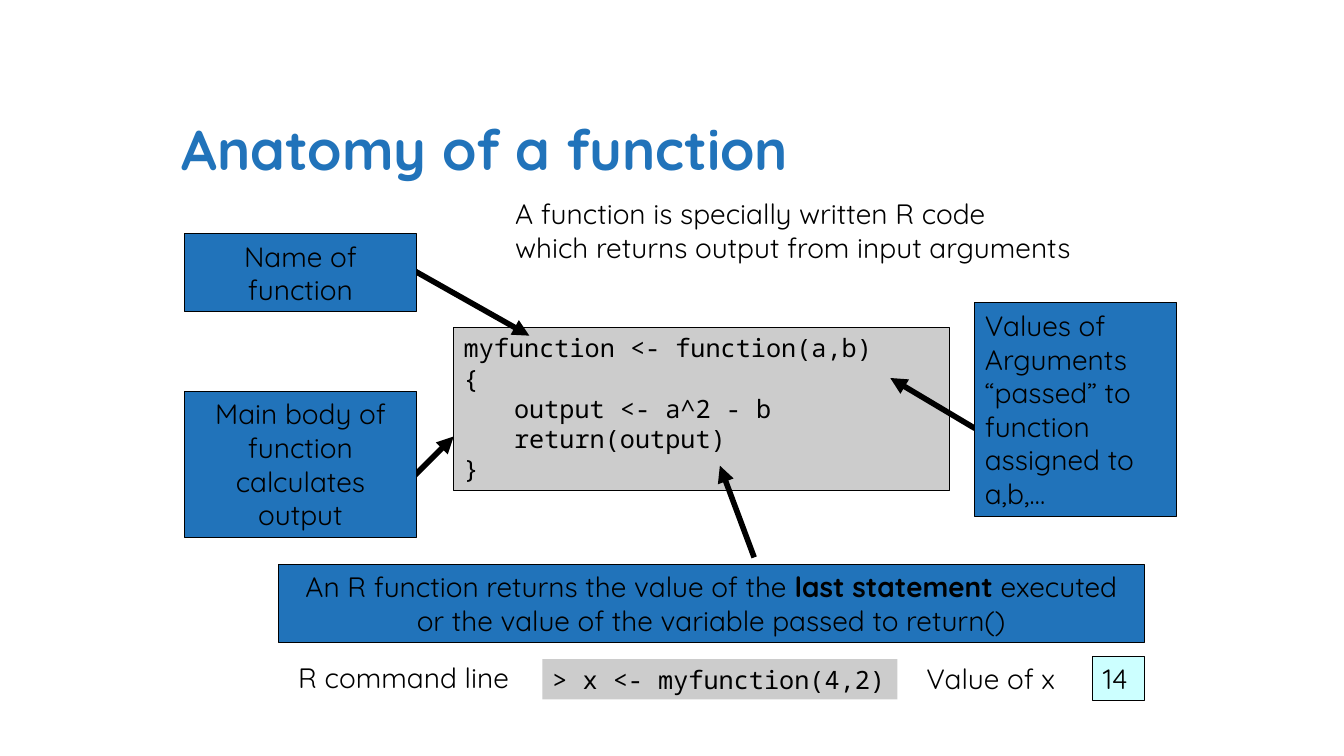
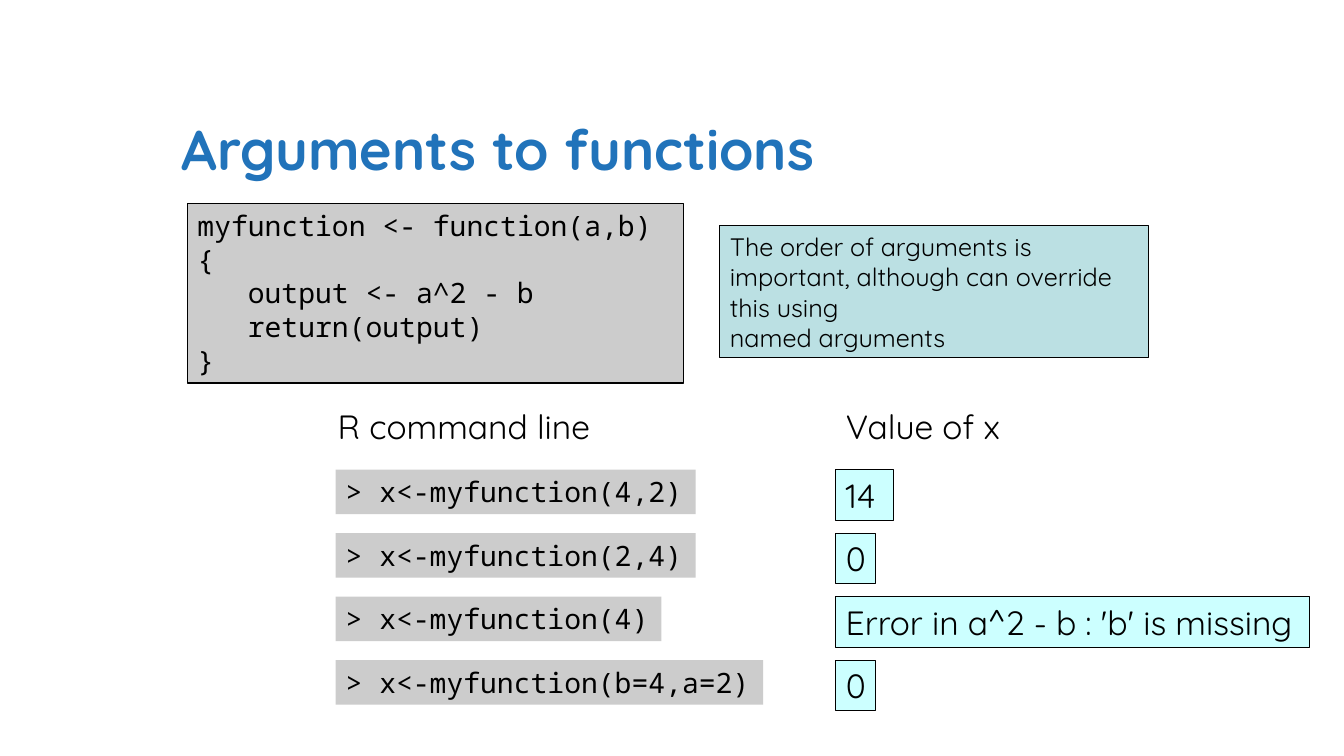
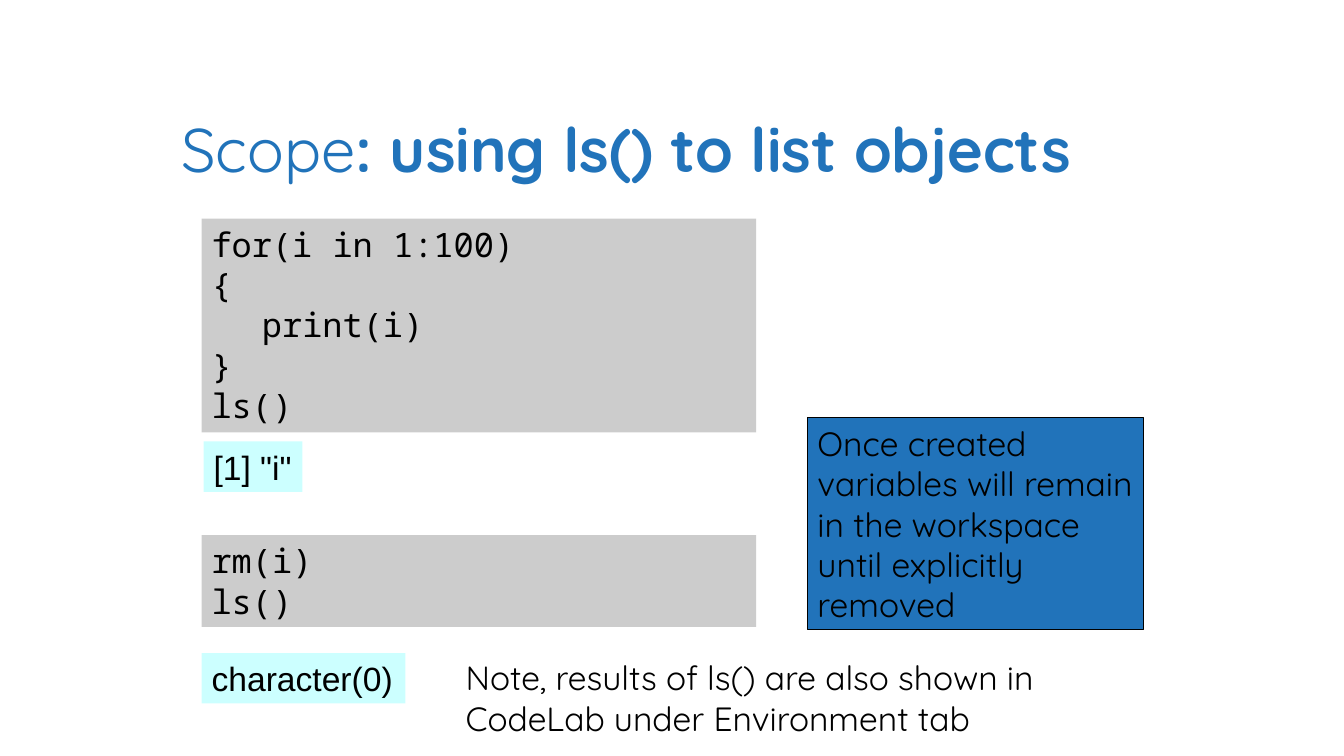
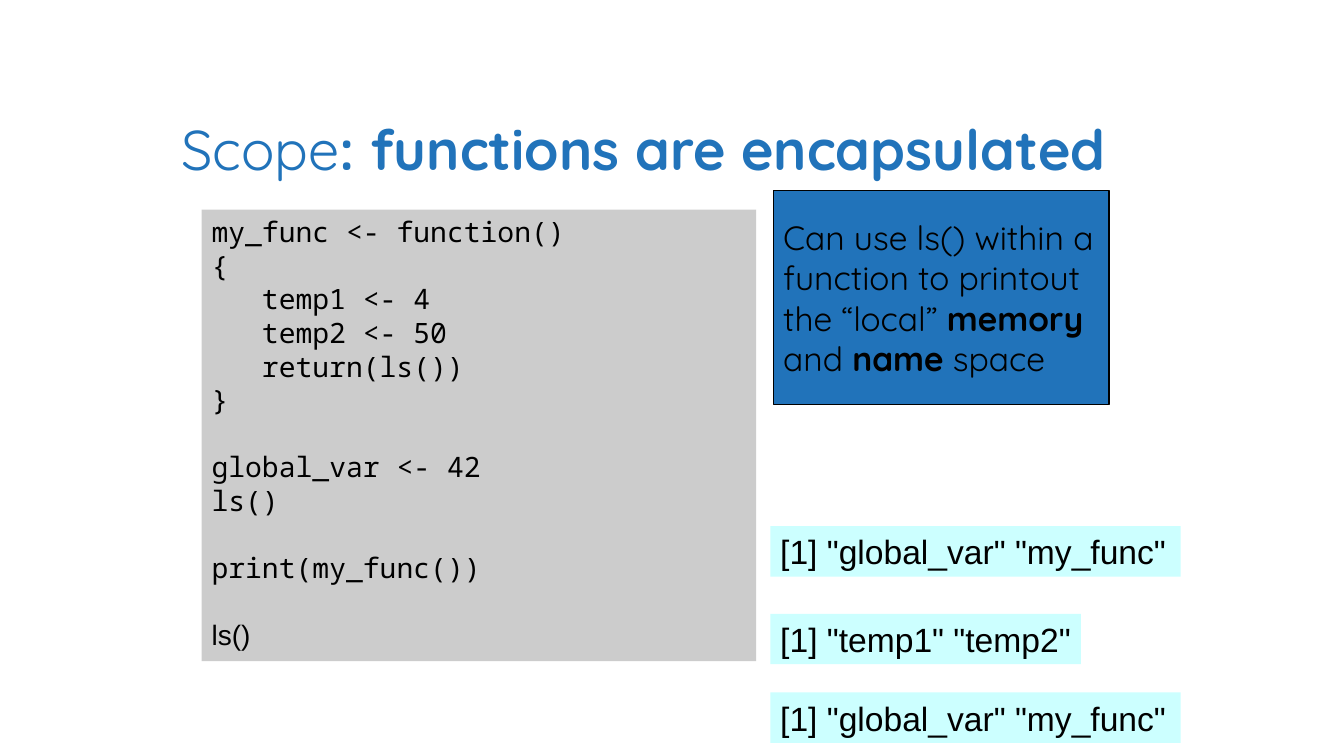
from dataclasses import dataclass

from lxml import etree
from pptx import Presentation
from pptx import util as u
from pptx.dml.color import RGBColor
from pptx.enum import shapes, text
from pptx.oxml import ns


@dataclass(frozen=True)
class Theme:
    # Colours
    blue: str = "2173BA"
    grey: str = "CCCCCC"
    cyan: str = "CCFFFF"
    teal: str = "BBE0E3"
    ink: str = "000000"
    # Fonts
    sans: str = "Quicksand"
    mono: str = "Noto Sans Mono"
    plain: str = "Arial"
    # Type sizes and line widths, in points
    head: int = 40
    big: int = 24
    mid: int = 20
    small: int = 18
    edge: float = 0.75
    arrow: int = 4


T = Theme()
MID = text.MSO_ANCHOR.MIDDLE
MID_ALIGN = text.PP_ALIGN.CENTER

# Kinds of box: fill, outline, font, anchor
CODE = dict(fill=T.grey, face=T.mono)
FRAMED = dict(CODE, edge=True)
NOTE = dict(fill=T.blue, edge=True, anchor=MID)
VALUE = dict(fill=T.cyan, edge=True, wrap=False)
ECHO = dict(fill=T.cyan, face=T.plain, wrap=False)
LABEL = dict(wrap=False)

FUNC = ("myfunction <- function(a,b)", "{", "\toutput <- a^2 - b",
        "\treturn(output)", "}")


def rgb(code):
    return RGBColor.from_string(code)


def put(item, vals):
    """Set every attribute named in vals."""
    for name, val in vals.items():
        setattr(item, name, val)


def write(frame, lines, face, size, color, align):
    """One paragraph a line; ** switches bold, an empty line is a gap."""
    gap, first = 0, True
    for line in lines:
        if not line:
            gap = u.Pt(size * 1.2)
            continue
        para = frame.paragraphs[0] if first else frame.add_paragraph()
        put(para, dict(alignment=align, space_before=gap))
        for i, part in enumerate(line.split("**")):
            if part:
                run = para.add_run()
                run.text = part
                put(run.font, dict(name=face, size=u.Pt(size), bold=i % 2 == 1))
                run.font.color.rgb = rgb(color)
        gap, first = 0, False


def box(slide, at, lines, size=T.mid, fill=None, edge=False, face=T.sans,
        color=T.ink, anchor=text.MSO_ANCHOR.TOP, align=text.PP_ALIGN.LEFT,
        wrap=True, grow=True):
    """Draw a text box, or a rectangle if it has a fill."""
    area = [u.Inches(n) for n in at]
    if fill:
        shape = slide.shapes.add_shape(shapes.MSO_SHAPE.RECTANGLE, *area)
        shape.shadow.inherit = False
        shape.fill.solid()
        shape.fill.fore_color.rgb = rgb(fill)
        if edge:
            shape.line.color.rgb = rgb(T.ink)
            shape.line.width = u.Pt(T.edge)
        else:
            shape.line.fill.background()
    else:
        shape = slide.shapes.add_textbox(*area)
    auto = text.MSO_AUTO_SIZE
    put(shape.text_frame, dict(
        word_wrap=wrap, vertical_anchor=anchor,
        auto_size=auto.SHAPE_TO_FIT_TEXT if grow else auto.NONE))
    write(shape.text_frame, lines, face, size, color, align)
    return shape.text_frame


def arrow(slide, start, end):
    ends = [u.Inches(n) for n in start + end]
    line = slide.shapes.add_connector(shapes.MSO_CONNECTOR.STRAIGHT, *ends)
    line.line.color.rgb = rgb(T.ink)
    line.line.width = u.Pt(T.arrow)
    etree.SubElement(line.line._get_or_add_ln(), ns.qn("a:tailEnd"), type="triangle")
    etree.SubElement(line._element.spPr, ns.qn("a:effectLst"))


def page(deck, title, size=T.head, width=9.75):
    """Add a blank slide with the shared title."""
    slide = deck.slides.add_slide(deck.slide_layouts[6])
    box(slide, (1.7, 0.84, width, 1.25), [title], size,
        color=T.blue, anchor=MID, grow=False)
    return slide


def anatomy(deck):
    s = page(deck, "**Anatomy of a function")
    box(s, (4.5, 3.25, 4.92, 1.62), FUNC, T.small, **FRAMED)
    box(s, (5.01, 1.9, 5.96, 0.77),
        ["A function is specially written R code",
         "which returns output from input arguments"], **LABEL)
    # Arrows lie under the notes they start from
    for start, end in (((7.48, 5.53), (7.14, 4.62)), ((4.08, 4.75), (4.5, 4.33)),
                       ((4.08, 2.67), (5.25, 3.33)), ((9.67, 4.25), (8.83, 3.75))):
        arrow(s, start, end)
    # Notes on the parts
    box(s, (2.76, 5.6, 8.59, 0.77),
        ["An R function returns the value of the **last statement** executed",
         "or the value of the variable passed to return()"],
        align=MID_ALIGN, wrap=False, **NOTE)
    box(s, (1.83, 3.88, 2.3, 1.45), ["Main body of function calculates output"],
        align=MID_ALIGN, **NOTE)
    box(s, (1.83, 2.32, 2.3, 0.77), ["Name of function"], align=MID_ALIGN, **NOTE)
    box(s, (9.67, 3, 2, 2.12),
        ["Values of", "Arguments", "“passed” to function assigned to a,b,…"], **NOTE)
    # Sample call
    box(s, (2.86, 6.5, 2.44, 0.44), ["R command line"], **LABEL)
    box(s, (5.38, 6.54, 3.52, 0.4), ["> x <- myfunction(4,2)"], T.small,
        wrap=False, **CODE)
    box(s, (9.09, 6.51, 1.56, 0.44), ["Value of x"], **LABEL)
    box(s, (10.84, 6.51, 0.51, 0.44), ["14"], **VALUE)


def inputs(deck):
    s = page(deck, "**Arguments to functions")
    box(s, (1.86, 2.02, 4.92, 1.78), FUNC, **FRAMED)
    box(s, (7.14, 2.24, 4.25, 1.31),
        ["The order of arguments is important, although can override this using",
         "named arguments"], T.small, **dict(NOTE, fill=T.teal))
    # Calls and their values
    box(s, (3.25, 3.98, 2.89, 0.5), ["R command line"], T.big, **LABEL)
    box(s, (8.29, 3.98, 1.82, 0.5), ["Value of x"], T.big, **LABEL)
    calls = (("4,2", 3.57, "14", 0.57),
             ("2,4", 3.57, "0", 0.39),
             ("4", 3.23, "Error in a^2 - b : 'b' is missing", 4.7),
             ("b=4,a=2", 4.24, "0", 0.39))
    for i, (args, wide, value, span) in enumerate(calls):
        top = 4.66 + 0.63 * i
        box(s, (3.33, top, wide, 0.44), [f"> x<-myfunction({args})"],
            wrap=False, **CODE)
        box(s, (8.29, top, span, 0.5), [value], T.big, **VALUE)


def listing(deck):
    s = page(deck, "Scope**: using ls() to list objects", 44, 9.61)
    box(s, (2, 2.17, 5.5, 2.12),
        ["for(i in 1:100)", "{", "\tprint(i)", "}", "ls()"], T.big, **CODE)
    box(s, (2.02, 4.38, 0.98, 0.5), ['[1] "i"'], T.big, **ECHO)
    box(s, (2, 5.31, 5.5, 0.91), ["rm(i)", "ls()"], T.big, **CODE)
    box(s, (2, 6.48, 2.02, 0.5), ["character(0)"], T.big, **ECHO)
    box(s, (8.01, 4.14, 3.33, 2.11),
        ["Once created variables will remain in the workspace until "
         "explicitly removed"], T.big, **NOTE)
    box(s, (4.52, 6.47, 6.1, 0.91),
        ["Note, results of ls() are also shown in",
         "CodeLab under Environment tab"], T.big, **LABEL)


def closed(deck):
    s = page(deck, "Scope**: functions are encapsulated")
    code = box(s, (2, 2.08, 5.5, 4.48),
               ["my_func <- function()", "{", "\ttemp1 <- 4", "\ttemp2 <- 50",
                "\treturn(ls())", "}", "", "global_var <- 42", "ls()", "",
                "print(my_func())", "", "ls()"], **CODE)
    code.paragraphs[-1].runs[0].font.name = T.plain
    box(s, (7.67, 1.89, 3.33, 2.12),
        ["Can use ls() within a function to printout the “local” "
         "**memory** and **name** space"], T.big, **NOTE)
    # Printed results
    outer = '[1] "global_var" "my_func"'
    for top, wide, line in ((5.22, 4.07, outer), (6.09, 3.08, '[1] "temp1" "temp2"'),
                            (6.87, 4.07, outer)):
        box(s, (7.64, top, wide, 0.5), [line], T.big, **ECHO)


def main():
    deck = Presentation()
    put(deck, dict(slide_width=u.Inches(13.33), slide_height=u.Inches(7.5)))
    for build in (anatomy, inputs, listing, closed):
        build(deck)
    deck.save("out.pptx")


if __name__ == "__main__":
    main()
